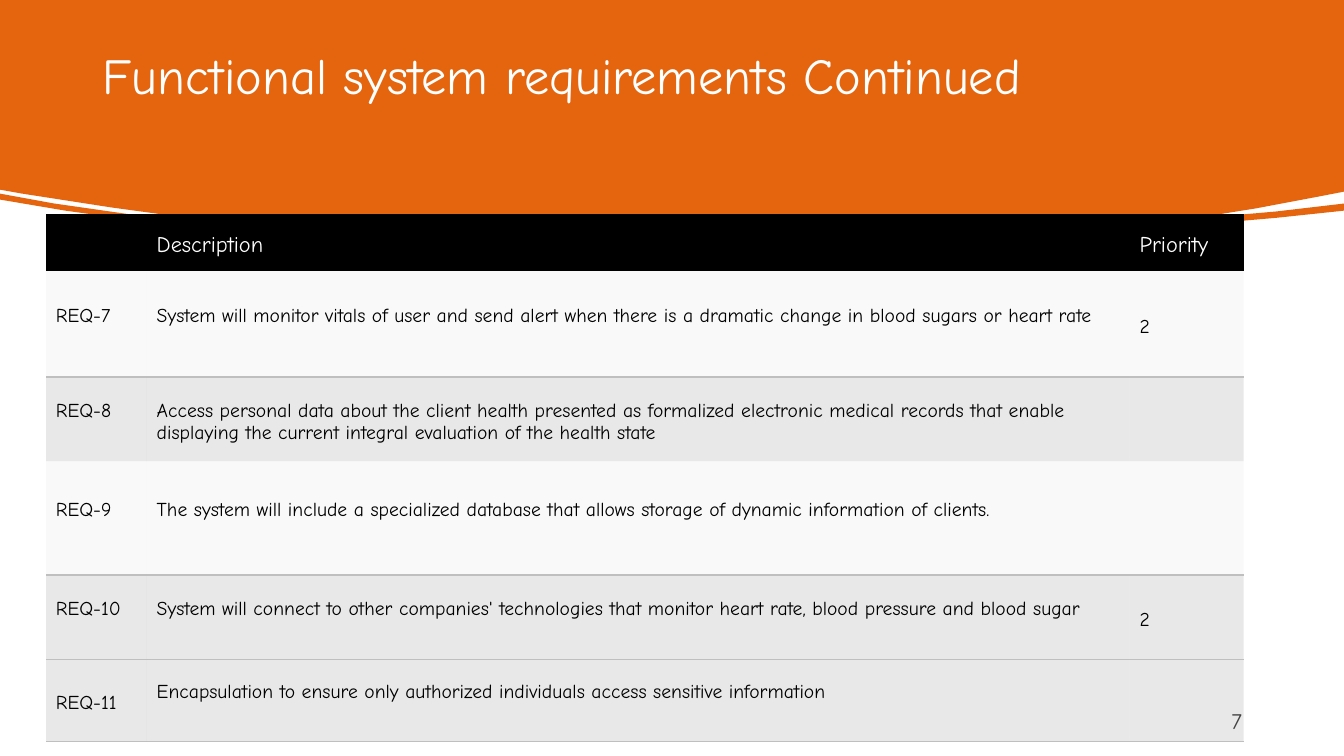
import pptx
import pptx.util
import pptx.dml.color
import pptx.enum.text
import pptx.oxml
import pptx.oxml.ns

Cm, Pt = pptx.util.Cm, pptx.util.Pt
ALIGN = pptx.enum.text.PP_ALIGN
MIDDLE = pptx.enum.text.MSO_ANCHOR.MIDDLE
FONT = "Comic Neue"
COLORS = {"orange": "E4650E", "white": "FFFFFF", "black": "000000",
          "light": "F2F2F2", "grey": "BFBFBF"}
PLAIN = "{2D5ABB26-0587-4C30-8999-92F81FD0307C}"  # table style without a grid

# Outline of the header band, in cm
BAND = [
    (0, 0), (33.87, 0), (33.87, 4.83), (33.25, 4.95), (31.66, 5.25),
    (29.85, 5.54), (30.12, 5.51), (32.16, 5.33), (33.87, 5.13),
    (33.87, 5.31), (32.16, 5.49), (29.51, 5.72), (25.68, 6.05),
    (22.4, 6.3), (18.14, 6.45), (17.17, 6.53), (14.91, 6.48),
    (11.61, 6.32), (8.53, 6.12), (5.72, 5.84), (3.45, 5.56),
    (1.65, 5.31), (0, 5.03), (0, 4.88), (1.37, 5.13), (3.33, 5.41),
    (5.74, 5.72), (8.28, 5.94), (10.77, 6.12), (12.8, 6.22),
    (10.24, 6.05), (7.8, 5.82), (4.88, 5.51), (2.82, 5.23),
    (0.56, 4.88), (0, 4.78),
]

COLS = [2.54, 24.77, 2.87]
# Height, fill, opacity in percent, line below, raised columns, texts
ROWS = [
    (1.44, "black", 100, False, (), ("", "Description", "Priority")),
    (2.67, "light", 45, True, (0, 1), (
        "REQ-7",
        "System will monitor vitals of user and send alert when there is "
        "a dramatic change in blood sugars or heart rate", "2")),
    (2.12, "grey", 35, False, (0,), (
        "REQ-8",
        "Access personal data about the client health presented as "
        "formalized electronic medical records that enable displaying "
        "the current integral evaluation of the health state", "")),
    (2.87, "light", 45, True, (0, 1), (
        "REQ-9",
        "The system will include a specialized database that allows "
        "storage of dynamic information of clients.", "")),
    (2.12, "grey", 35, True, (0, 1), (
        "REQ-10",
        "System will connect to other companies' technologies that "
        "monitor heart rate, blood pressure and blood sugar", "2")),
    (2.07, "grey", 35, True, (1,), (
        "REQ-11",
        "Encapsulation to ensure only authorized individuals access "
        "sensitive information", "")),
]


def rgb(name):
    return pptx.dml.color.RGBColor.from_string(COLORS[name])


def style(frame, size, color):
    for para in frame.paragraphs:
        for run in para.runs:
            run.font.name = FONT
            run.font.size = Pt(size)
            run.font.color.rgb = rgb(color)


def add_band(slide):
    first, *rest = [(Cm(x), Cm(y)) for x, y in BAND]
    pen = slide.shapes.build_freeform(*first)
    pen.add_line_segments(rest, close=True)
    band = pen.convert_to_shape()
    band.shadow.inherit = False
    band.fill.solid()
    band.fill.fore_color.rgb = rgb("orange")
    band.line.fill.background()


def add_text(slide, box, text, size, color, align=ALIGN.LEFT):
    frame = slide.shapes.add_textbox(*map(Cm, box)).text_frame
    frame.word_wrap = True
    frame.vertical_anchor = MIDDLE
    frame.text = text
    frame.paragraphs[0].alignment = align
    style(frame, size, color)


def paint(cell, color, alpha):
    """Fill a cell with a colour at the given opacity in percent."""
    cell.fill.solid()
    cell.fill.fore_color.rgb = rgb(color)
    if alpha < 100:
        tint = cell._tc.tcPr.find(".//" + pptx.oxml.ns.qn("a:srgbClr"))
        mark = tint.makeelement(pptx.oxml.ns.qn("a:alpha"),
                                {"val": str(alpha * 1000)})
        tint.append(mark)


def rule(cell):
    """Draw a thin line along the bottom of a cell."""
    line = pptx.oxml.parse_xml(
        f'<a:lnB {pptx.oxml.ns.nsdecls("a")} w="12700"><a:solidFill>'
        f'<a:srgbClr val="{COLORS["grey"]}"/></a:solidFill></a:lnB>')
    cell._tc.tcPr.insert(0, line)


def add_grid(slide):
    high = sum(row[0] for row in ROWS)
    table = slide.shapes.add_table(
        len(ROWS), len(COLS), Cm(1.16), Cm(5.39),
        Cm(sum(COLS)), Cm(high)).table
    table.first_row = table.horz_banding = False
    table._tbl.tblPr.find(pptx.oxml.ns.qn("a:tableStyleId")).text = PLAIN
    for col, width in zip(table.columns, COLS):
        col.width = Cm(width)
    for r, (height, fill, alpha, lined, raised, texts) in enumerate(ROWS):
        table.rows[r].height = Cm(height)
        for c, text in enumerate(texts):
            cell = table.cell(r, c)
            cell.margin_left = cell.margin_right = Cm(0.25)
            cell.margin_top = Cm(0.28)
            cell.margin_bottom = Cm(0.69 if c in raised else 0.13)
            cell.vertical_anchor = MIDDLE
            cell.text_frame.text = text
            style(cell.text_frame, 14 if r else 16,
                  "black" if r else "white")
            paint(cell, fill, alpha)
            if lined:
                rule(cell)


def main():
    deck = pptx.Presentation()
    deck.slide_width, deck.slide_height = Cm(33.87), Cm(19.05)
    slide = deck.slides.add_slide(deck.slide_layouts[6])
    add_band(slide)
    add_text(slide, (2.34, 0, 29.21, 3.73),
             "Functional system requirements Continued", 36, "white")
    add_text(slide, (23.93, 17.65, 7.62, 1.02), "7", 16, "black",
             ALIGN.RIGHT)
    add_grid(slide)
    deck.save("out.pptx")


if __name__ == "__main__":
    main()
